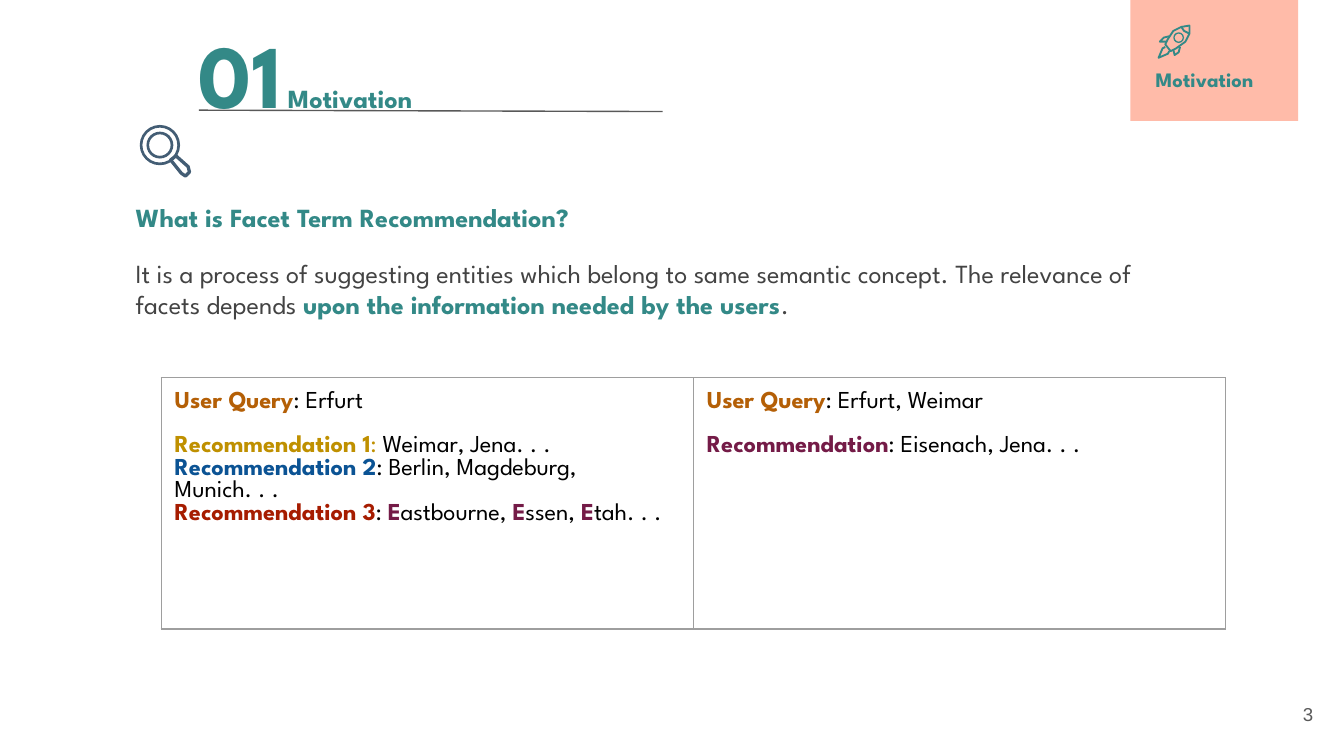
from lxml import etree
from pptx import Presentation
from pptx.dml.color import RGBColor
from pptx.enum.shapes import MSO_CONNECTOR, MSO_SHAPE
from pptx.enum.text import MSO_ANCHOR, MSO_AUTO_SIZE, PP_ALIGN
from pptx.oxml import parse_xml
from pptx.oxml.ns import nsdecls, qn
from pptx.util import Inches, Pt

COLORS = {
    "teal": "338987", "peach": "FFB8A5", "slate": "435D74", "gray": "434343",
    "rule": "595959", "border": "9E9E9E", "black": "000000", "orange": "B45F06",
    "gold": "BF9000", "blue": "0B5394", "red": "A61C00", "plum": "741B47",
}
FONT = "League Spartan"
SIDES = ("left", "right", "top", "bottom")

# Content: a paragraph is a list of runs (text, color, bold[, size])
TITLE = [[("01", "teal", True, 48), (" ", "teal", False), ("Motivation", "teal", True)]]
TAG = [[("Motivation", "teal", True)]]
NUMBER = [[("3", "rule", False)]]
BODY = [
    [("What is Facet Term Recommendation?", "teal", True)],
    [("It is a process of suggesting entities which belong to same semantic concept. "
      "The relevance of facets depends ", "gray", False),
     ("upon the information needed by the users", "teal", True),
     (".", "gray", False)],
]
CELLS = [
    [
        [("User Query", "orange", True), (": Erfurt", "black", False)],
        [("Recommendation 1", "gold", True), (":", "gold", False),
         (" Weimar, Jena. . .", "black", False)],
        [("Recommendation 2", "blue", True),
         (": Berlin, Magdeburg, Munich. . .", "black", False)],
        [("Recommendation 3", "red", True), (": ", "black", False),
         ("E", "plum", True), ("astbourne, ", "black", False),
         ("E", "plum", True), ("ssen, ", "black", False),
         ("E", "plum", True), ("tah. . .", "black", False)],
    ],
    [
        [("User Query", "orange", True), (": Erfurt, Weimar", "black", False)],
        [("Recommendation", "plum", True), (": Eisenach, Jena. . .", "black", False)],
    ],
]

# Icon outlines in inches: (points, closed)
HANDLE = [(1.27, 1.19), (1.35, 1.29), (1.38, 1.31), (1.41, 1.28), (1.40, 1.24), (1.31, 1.16)]
ROCKET = [
    ([(8.85, 0.19), (8.79, 0.20), (8.73, 0.23), (8.69, 0.29), (8.67, 0.33), (8.71, 0.38),
      (8.75, 0.36), (8.82, 0.31), (8.85, 0.25)], True),                          # hull
    ([(8.79, 0.20), (8.81, 0.23), (8.85, 0.25)], False),                         # nose
    ([(8.70, 0.27), (8.66, 0.28), (8.63, 0.31), (8.68, 0.31)], False),           # left fin
    ([(8.73, 0.37), (8.74, 0.41), (8.77, 0.39), (8.78, 0.35)], False),           # right fin
    ([(8.67, 0.35), (8.65, 0.36), (8.62, 0.43), (8.69, 0.40), (8.70, 0.38)], False),  # flame
]


def rgb(name):
    return RGBColor.from_string(COLORS[name])


def set_margins(holder):
    for side in SIDES:
        setattr(holder, f"margin_{side}", Inches(0.1))


def write(frame, paragraphs, size, font=FONT, **formats):
    """Fill a text frame; formats apply to every paragraph."""
    values = {"alignment": PP_ALIGN.LEFT, "line_spacing": 1.0,
              "space_before": Pt(0), "space_after": Pt(0), **formats}
    for index, runs in enumerate(paragraphs):
        para = frame.paragraphs[0] if index == 0 else frame.add_paragraph()
        for name, value in values.items():
            setattr(para, name, value)
        for text, color, bold, *own_size in runs:
            span = para.add_run()
            span.text = text
            span.font.color.rgb = rgb(color)
            for name, value in {"name": font, "bold": bold,
                                "size": Pt(own_size[0] if own_size else size)}.items():
                setattr(span.font, name, value)


def place(box, left, top, width, height, anchor=MSO_ANCHOR.TOP):
    box.left, box.top, box.width, box.height = map(Inches, (left, top, width, height))
    frame = box.text_frame
    frame.word_wrap = True
    frame.auto_size = MSO_AUTO_SIZE.NONE
    frame.vertical_anchor = anchor
    set_margins(frame)
    return frame


def add_solid(page, preset, area, color):
    shape = page.shapes.add_shape(preset, *map(Inches, area))
    shape.shadow.inherit = False
    shape.fill.solid()
    shape.fill.fore_color.rgb = rgb(color)
    shape.line.fill.background()
    return shape


def add_ring(page, center, radius, thickness, color):
    x, y = center
    ring = add_solid(page, MSO_SHAPE.DONUT,
                     (x - radius, y - radius, 2 * radius, 2 * radius), color)
    ring.adjustments[0] = thickness / (2 * radius)


def add_outline(page, points, color, weight, closed=True):
    places = [(Inches(x), Inches(y)) for x, y in points]
    builder = page.shapes.build_freeform(*places[0])
    builder.add_line_segments(places[1:], close=closed)
    outline = builder.convert_to_shape()
    outline.shadow.inherit = False
    outline.fill.background()
    outline.line.color.rgb = rgb(color)
    outline.line.width = Pt(weight)


def add_borders(cell):
    for index, side in enumerate(("lnL", "lnR", "lnT", "lnB")):
        cell._tc.get_or_add_tcPr().insert(index, parse_xml(
            f'<a:{side} {nsdecls("a")} w="{Pt(0.75)}"><a:solidFill>'
            f'<a:srgbClr val="{COLORS["border"]}"/></a:solidFill></a:{side}>'))


# Widescreen page, 16:9
deck = Presentation()
deck.slide_width = Inches(10)
deck.slide_height = deck.slide_width * 9 // 16
page = deck.slides.add_slide(deck.slide_layouts[1])
title, body = page.placeholders

# Corner tag and page number
corner = add_solid(page, MSO_SHAPE.RECTANGLE, (8.41, -0.07, 1.25, 0.97), "peach")
tint = corner.fill._xPr.find(".//" + qn("a:srgbClr"))
etree.SubElement(tint, qn("a:alpha"), val="95000")
tag = page.shapes.add_textbox(0, 0, 0, 0)
write(place(tag, 8.5, 0.4, 1.11, 0.43), TAG, 11)
number = page.shapes.add_textbox(0, 0, 0, 0)
write(place(number, 9.27, 5.1, 0.6, 0.43, MSO_ANCHOR.MIDDLE), NUMBER, 10, "Arial",
      alignment=PP_ALIGN.RIGHT)

# Title with rule
write(place(title, 1.38, 0.04, 5.12, 0.66), TITLE, 14)
rule = page.shapes.add_connector(MSO_CONNECTOR.STRAIGHT,
                                 *map(Inches, (1.48, 0.82, 4.93, 0.83)))
rule.line.color.rgb = rgb("rule")
rule.line.width = Pt(0.75)
etree.SubElement(rule._element.spPr, qn("a:effectLst"))

# Explanation
write(place(body, 0.91, 1.4, 7.95, 1.08), BODY, 14)
body.text_frame.paragraphs[0].space_after = Pt(13)
for para in body.text_frame.paragraphs:
    props = para._p.get_or_add_pPr()
    props.set("marL", "0")
    props.set("indent", "0")
    etree.SubElement(props, qn("a:buNone"))

# Magnifier and rocket icons
for radius in (0.15, 0.1):
    add_ring(page, (1.19, 1.08), radius, 0.02, "slate")
add_outline(page, HANDLE, "slate", 1.75)
for points, closed in ROCKET:
    add_outline(page, points, "teal", 1, closed)
add_ring(page, (8.77, 0.28), 0.04, 0.01, "teal")

# Query table
table = page.shapes.add_table(1, len(CELLS), *map(Inches, (1.2, 2.81, 7.92, 1.87))).table
table.first_row = table.horz_banding = False
for column, paragraphs in enumerate(CELLS):
    cell = table.cell(0, column)
    set_margins(cell)
    cell.fill.background()
    add_borders(cell)
    write(cell.text_frame, paragraphs, 13)
    cell.text_frame.paragraphs[0].space_after = Pt(12)

deck.save("out.pptx")
